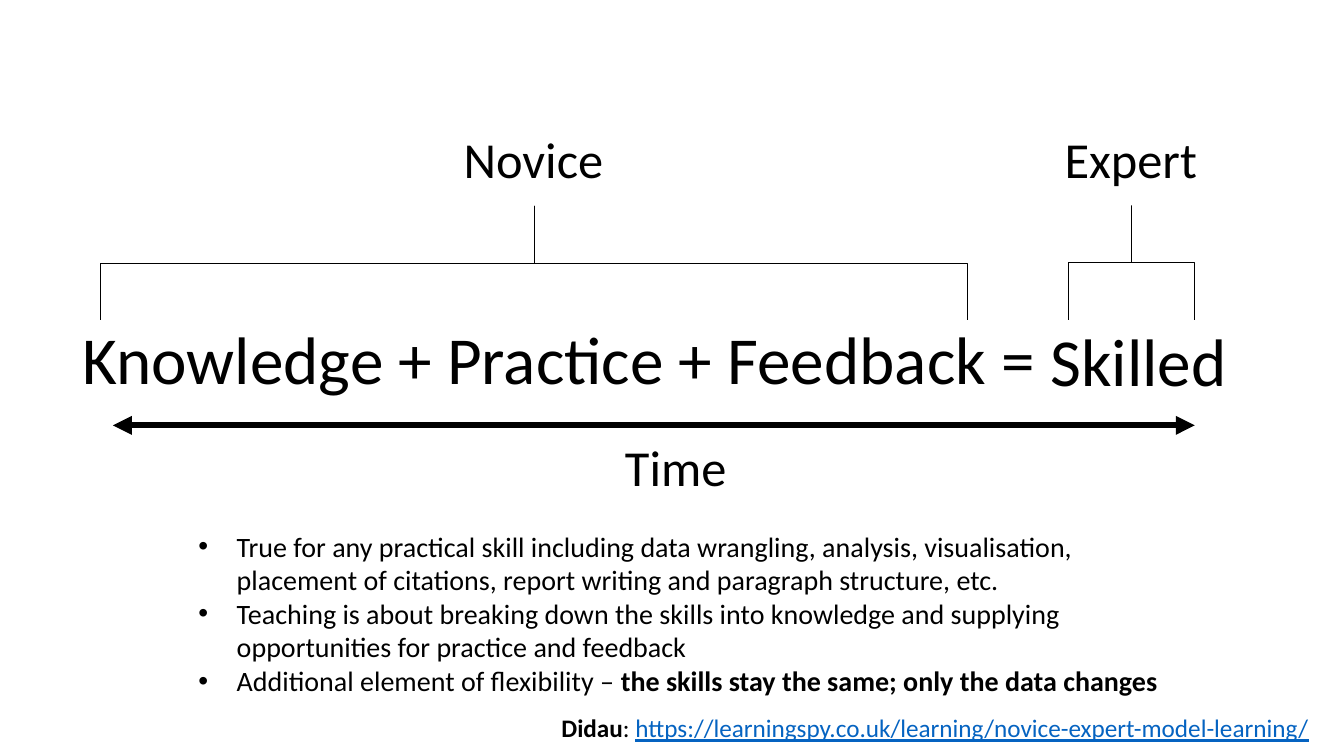
from lxml.etree import SubElement
from pptx import Presentation
from pptx.dml.color import RGBColor
from pptx.enum.shapes import MSO_CONNECTOR as Connector, MSO_SHAPE as Shape
from pptx.enum.text import MSO_AUTO_SIZE as AutoSize
from pptx.oxml.ns import qn
from pptx.util import Inches, Pt

COLORS = {"ink": "000000", "link": "0563C1"}


class SlideBuilder:
    font = "Calibri"

    def __init__(self, slide):
        self.slide = slide

    def color(self, name):
        return RGBColor.from_string(COLORS[name])

    def text(self, left, top, width, height, paragraphs, size, wrap=False, bullets=False):
        shape = self.slide.shapes.add_textbox(
            Inches(left), Inches(top), Inches(width), Inches(height))
        frame = shape.text_frame
        frame.word_wrap = wrap
        frame.auto_size = AutoSize.SHAPE_TO_FIT_TEXT
        for index, runs in enumerate(paragraphs):
            paragraph = frame.add_paragraph() if index else frame.paragraphs[0]
            if bullets:
                self.bullet(paragraph)
            for content, style in runs:
                run = paragraph.add_run()
                run.text = content
                run.font.name = self.font
                run.font.size = Pt(size)
                run.font.bold = style == "bold"
                run.font.underline = style == "link"
                run.font.color.rgb = self.color("link" if style == "link" else "ink")

    def label(self, left, top, width, height, content, size, wrap=False):
        self.text(left, top, width, height, [[(content, "plain")]], size, wrap)

    def bullet(self, paragraph):
        properties = paragraph._p.get_or_add_pPr()
        indent = Inches(0.38)
        properties.set("marL", str(indent))
        properties.set("indent", str(-indent))
        SubElement(properties, qn("a:buFont"), typeface="Arial")
        SubElement(properties, qn("a:buChar"), char="•")

    def brace(self, left, top, width, height):
        shape = self.slide.shapes.add_shape(
            Shape.LEFT_BRACE, Inches(left), Inches(top), Inches(width), Inches(height))
        shape.rotation = 90
        shape.adjustments[0] = 0
        shape.adjustments[1] = 0.5
        shape.shadow.inherit = False
        shape.fill.background()
        shape.line.color.rgb = self.color("ink")
        shape.line.width = Pt(0.5)

    def double_arrow(self, left, right, y, weight):
        connector = self.slide.shapes.add_connector(
            Connector.STRAIGHT, Inches(left), Inches(y), Inches(right), Inches(y))
        connector.line.color.rgb = self.color("ink")
        connector.line.width = Pt(weight)
        line = connector.line._get_or_add_ln()
        for end in ("a:headEnd", "a:tailEnd"):
            SubElement(line, qn(end), type="triangle")
        SubElement(connector._element.spPr, qn("a:effectLst"))


def main():
    presentation = Presentation()
    presentation.slide_width = Inches(13.33)
    presentation.slide_height = Inches(7.5)
    builder = SlideBuilder(presentation.slides.add_slide(presentation.slide_layouts[6]))

    builder.label(0.72, 3.1, 9.75, 0.91, "Knowledge + Practice + Feedback =", 48)
    builder.label(10.32, 3.12, 2.3, 0.91, "Skilled", 48, wrap=True)
    builder.brace(4.73, -1.69, 1.13, 8.6)
    builder.label(4.5, 1.22, 1.6, 0.71, "Novice", 36)
    builder.brace(10.66, 1.98, 1.13, 1.25)
    builder.label(10.46, 1.22, 1.53, 0.71, "Expert", 36)
    builder.double_arrow(1.12, 11.85, 4.22, 4.5)
    builder.label(6.1, 4.28, 1.22, 0.71, "Time", 36)

    points = [
        [("True for any practical skill including data wrangling, analysis, visualisation, "
          "placement of citations, report writing and paragraph structure, etc.", "plain")],
        [("Teaching is about breaking down the skills into knowledge and supplying "
          "opportunities for practice and feedback", "plain")],
        [("Additional element of flexibility – ", "plain"),
         ("the skills stay the same; only the data changes", "bold")],
    ]
    builder.text(1.87, 5.2, 9.74, 1.78, points, 20, wrap=True, bullets=True)

    source = [("Didau", "bold"), (": ", "plain"),
              ("https://learningspy.co.uk/learning/novice-expert-model-learning/", "link")]
    builder.text(5.47, 7.02, 7.86, 0.4, [source], 18, wrap=True)

    presentation.save("out.pptx")


if __name__ == "__main__":
    main()
